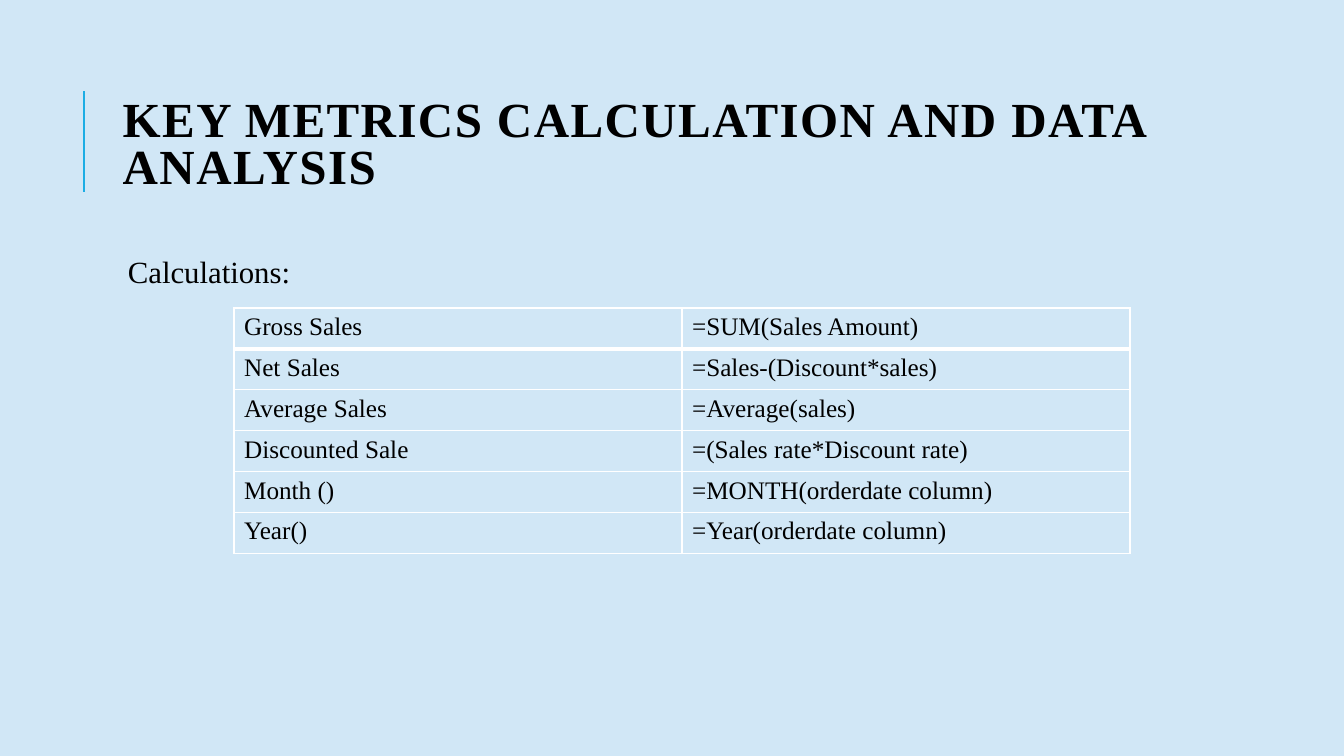
from pptx import Presentation
from pptx.dml.color import RGBColor as Rgb
from pptx.enum.shapes import MSO_CONNECTOR as Conn
from pptx.enum.text import MSO_ANCHOR as Anchor
from pptx.util import Pt
from lxml.etree import SubElement as Sub
from pptx.oxml.ns import qn

# Content
TITLE = "KEY METRICS CALCULATION AND DATA ANALYSIS"
LEAD = "Calculations:"
ROWS = [
    ("Gross Sales", "=SUM(Sales Amount)"),
    ("Net Sales", "=Sales-(Discount*sales)"),
    ("Average Sales", "=Average(sales)"),
    ("Discounted Sale", "=(Sales rate*Discount rate)"),
    ("Month ()", "=MONTH(orderdate column)"),
    ("Year()", "=Year(orderdate column)"),
]
FONT, INK, WHITE, BLUE, SKY = "Times New Roman", "000000", "FFFFFF", "1CADE4", "D1E7F6"

# Layout in points
LEFT, WIDE = 80.6, 765.4
COL, ROW = 320, 29.2


def color(code):
    return Rgb.from_string(code)


def write(para, text, size, bold=False):
    run = para.add_run()
    run.text = text
    font = run.font
    font.name, font.size, font.bold = FONT, Pt(size), bold
    font.color.rgb = color(INK)
    return run


def add_box(top, high, space):
    box = slide.shapes.add_textbox(Pt(LEFT), Pt(top), Pt(WIDE), Pt(high))
    frame = box.text_frame
    frame.word_wrap = True
    frame.paragraphs[0].line_spacing = space
    return frame


def edge(cell, side, width):
    line = Sub(cell._tc.get_or_add_tcPr(), qn("a:ln" + side), w=str(Pt(width)))
    fill = Sub(line, qn("a:solidFill"))
    Sub(fill, qn("a:srgbClr"), val=WHITE)


deck = Presentation()
deck.slide_width, deck.slide_height = Pt(960), Pt(540)
slide = deck.slides.add_slide(deck.slide_layouts[6])
back = slide.background.fill
back.solid()
back.fore_color.rgb = color(SKY)

# Accent line
bar = slide.shapes.add_connector(Conn.STRAIGHT, Pt(60), Pt(137), Pt(60), Pt(65))
bar.line.color.rgb = color(BLUE)
bar.line.width = Pt(1.5)
Sub(bar._element.spPr, qn("a:effectLst"))

# Title
frame = add_box(46, 118, 0.8)
frame.vertical_anchor = Anchor.MIDDLE
run = write(frame.paragraphs[0], TITLE, 35, True)
run._r.get_or_add_rPr().set("spc", "100")

# Lead text
frame = add_box(180, 317, 0.9)
frame.margin_left = Pt(10.8)
frame.margin_top = frame.margin_right = frame.margin_bottom = Pt(3.6)
para = frame.paragraphs[0]
para.space_before, para.space_after = Pt(12), Pt(2)
write(para, LEAD, 22)

# Table with a heavy rule under the first row
grid = slide.shapes.add_table(
    len(ROWS), 2, Pt(167.2), Pt(220), Pt(2 * COL), Pt(len(ROWS) * ROW)).table
for col in grid.columns:
    col.width = Pt(COL)
for i, texts in enumerate(ROWS):
    grid.rows[i].height = Pt(ROW)
    for j, text in enumerate(texts):
        cell = grid.cell(i, j)
        write(cell.text_frame.paragraphs[0], text, 18)
        for side in "LRTB":
            heavy = (i, side) in [(0, "B"), (1, "T")]
            edge(cell, side, 3 if heavy else 1)
        cell.fill.background()

deck.save("out.pptx")
